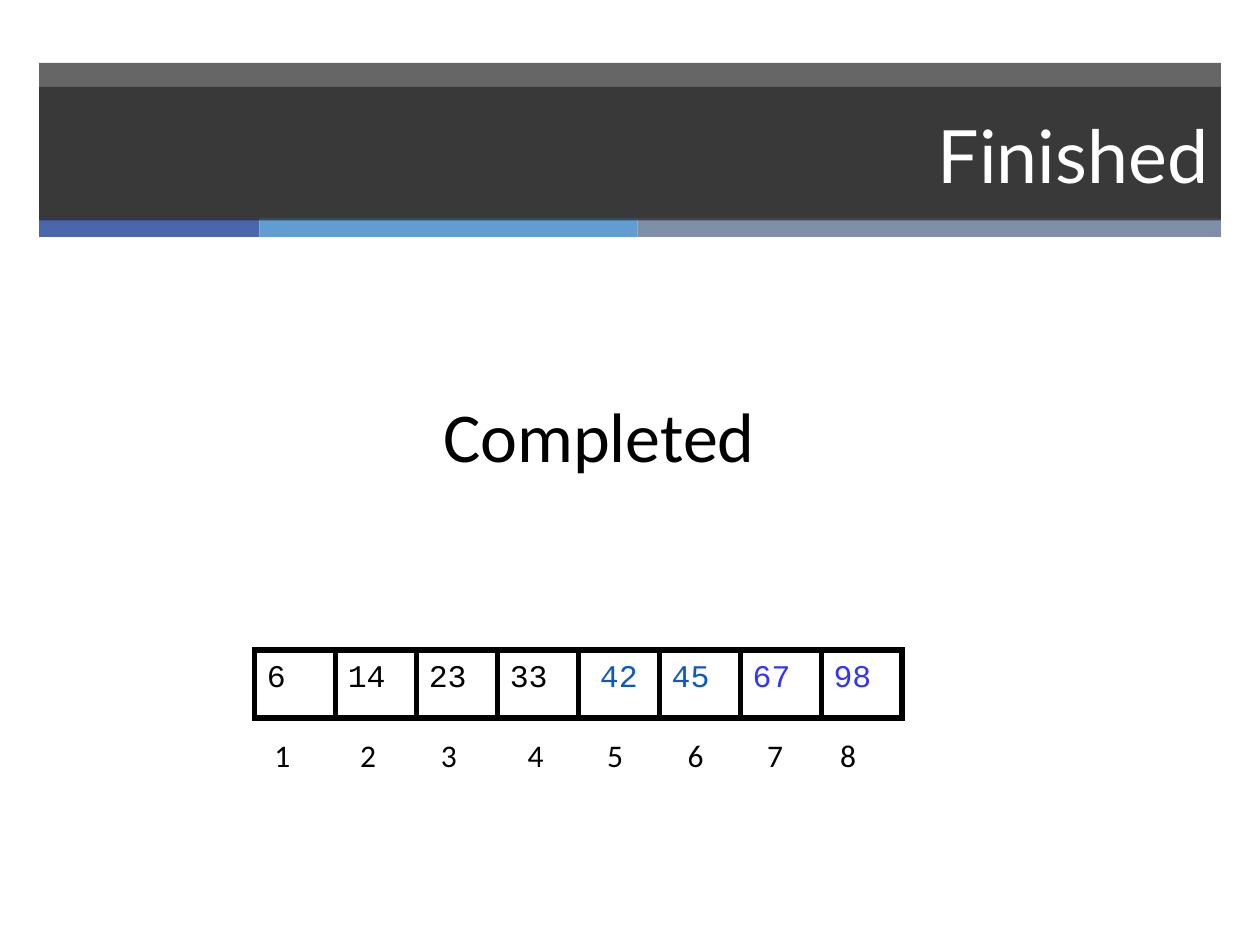
from dataclasses import dataclass

from lxml import etree
from pptx import Presentation
from pptx.dml.color import RGBColor
from pptx.enum.shapes import MSO_SHAPE
from pptx.enum.text import MSO_ANCHOR, MSO_AUTO_SIZE, PP_ALIGN
from pptx.oxml.ns import qn
from pptx.util import Inches, Pt

RECTANGLE = MSO_SHAPE.RECTANGLE
TOP, MIDDLE = MSO_ANCHOR.TOP, MSO_ANCHOR.MIDDLE
LEFT, CENTER, RIGHT = PP_ALIGN.LEFT, PP_ALIGN.CENTER, PP_ALIGN.RIGHT
NO_RESIZE = MSO_AUTO_SIZE.NONE


@dataclass(frozen=True)
class Theme:
    white: str = "FFFFFF"
    black: str = "000000"
    banner: str = "262626"
    navy: str = "4A66AC"
    sky: str = "629DD1"
    slate: str = "7F8FA9"
    blue: str = "0E58C4"
    violet: str = "3333FF"
    title_font: str = "Lato"
    body_font: str = "Calibri"
    code_font: str = "Courier New"
    title_size: int = 42
    message_size: int = 40
    cell_size: int = 18
    cell_line: int = 3
    banner_opacity: int = 70


@dataclass(frozen=True)
class Stripe:
    width: float
    color: str


@dataclass(frozen=True)
class Cell:
    value: str
    color: str
    index_left: float
    align: PP_ALIGN = LEFT


THEME = Theme()
BANNER_LEFT, BANNER_WIDTH = 0.31, 9.38
STRIPES = [Stripe(1.75, THEME.navy), Stripe(3, THEME.sky), Stripe(4.63, THEME.slate)]
CELLS = [
    Cell("6", THEME.black, 2.08),
    Cell("14", THEME.black, 2.76),
    Cell("23", THEME.black, 3.4),
    Cell("33", THEME.black, 4.09),
    Cell("42", THEME.blue, 4.72, CENTER),
    Cell("45", THEME.blue, 5.36),
    Cell("67", THEME.violet, 5.99),
    Cell("98", THEME.violet, 6.57),
]
ARRAY_LEFT, ARRAY_WIDTH = 2.02, 5.14


def write_text(shape, text: str, *, font: str, size: int, color: str,
               align: PP_ALIGN = LEFT, anchor: MSO_ANCHOR = TOP, wrap: bool = True) -> None:
    frame = shape.text_frame
    frame.auto_size = NO_RESIZE
    frame.word_wrap = wrap
    frame.vertical_anchor = anchor
    para = frame.paragraphs[0]
    para.alignment = align
    span = para.add_run()
    span.text = text
    span.font.name = font
    span.font.size = Pt(size)
    span.font.color.rgb = RGBColor.from_string(color)


def fill_shape(shape, color: str, opacity: int = 100) -> None:
    shape.fill.solid()
    shape.fill.fore_color.rgb = RGBColor.from_string(color)
    if opacity < 100:
        color_element = shape.fill._xPr.find(qn("a:solidFill"))[0]
        etree.SubElement(color_element, qn("a:alpha")).set("val", str(opacity * 1000))


def add_rectangle(page, left: float, top: float, width: float, height: float):
    box = page.shapes.add_shape(
        RECTANGLE, Inches(left), Inches(top), Inches(width), Inches(height))
    box.shadow.inherit = False
    box.line.fill.background()
    return box


def add_label(page, text: str, left: float, top: float, width: float, height: float,
              size: int) -> None:
    box = page.shapes.add_textbox(Inches(left), Inches(top), Inches(width), Inches(height))
    write_text(box, text, font=THEME.body_font, size=size, color=THEME.black, wrap=False)


def add_banner(page) -> None:
    backdrop = add_rectangle(page, BANNER_LEFT, 0.5, BANNER_WIDTH, 1.24)
    fill_shape(backdrop, THEME.banner, THEME.banner_opacity)
    left = BANNER_LEFT
    for stripe in STRIPES:
        fill_shape(add_rectangle(page, left, 1.73, stripe.width, 0.15), stripe.color)
        left += stripe.width


def add_title(page, text: str) -> None:
    title = page.shapes.title
    title.left, title.top = Inches(BANNER_LEFT), Inches(0.69)
    title.width, title.height = Inches(BANNER_WIDTH), Inches(1.06)
    fill_shape(title, THEME.banner, THEME.banner_opacity)
    write_text(title, text, font=THEME.title_font, size=THEME.title_size,
               color=THEME.white, align=RIGHT, anchor=MIDDLE)
    tree = page.shapes._spTree
    tree.remove(title._element)
    tree.append(title._element)


def add_array(page) -> None:
    cell_width = ARRAY_WIDTH / len(CELLS)
    for position, cell in enumerate(CELLS):
        box = add_rectangle(page, ARRAY_LEFT + position * cell_width, 5.16, cell_width, 0.54)
        box.fill.background()
        box.line.color.rgb = RGBColor.from_string(THEME.black)
        box.line.width = Pt(THEME.cell_line)
        outline = box._element.spPr.find(qn("a:ln"))
        etree.SubElement(outline, qn("a:miter")).set("lim", "800000")
        write_text(box, cell.value, font=THEME.code_font, size=THEME.cell_size,
                   color=cell.color, align=cell.align)


def add_indices(page) -> None:
    for number, cell in enumerate(CELLS, start=1):
        add_label(page, str(number), cell.index_left, 5.79, 0.33, 0.4, THEME.cell_size)


def main() -> None:
    deck = Presentation()
    deck.slide_width, deck.slide_height = Inches(10), Inches(7.5)
    page = deck.slides.add_slide(deck.slide_layouts[5])
    add_banner(page)
    add_title(page, "Finished")
    add_array(page)
    add_label(page, "Completed", 3.42, 3.07, 2.7, 0.77, THEME.message_size)
    add_indices(page)
    deck.save("out.pptx")


if __name__ == "__main__":
    main()
